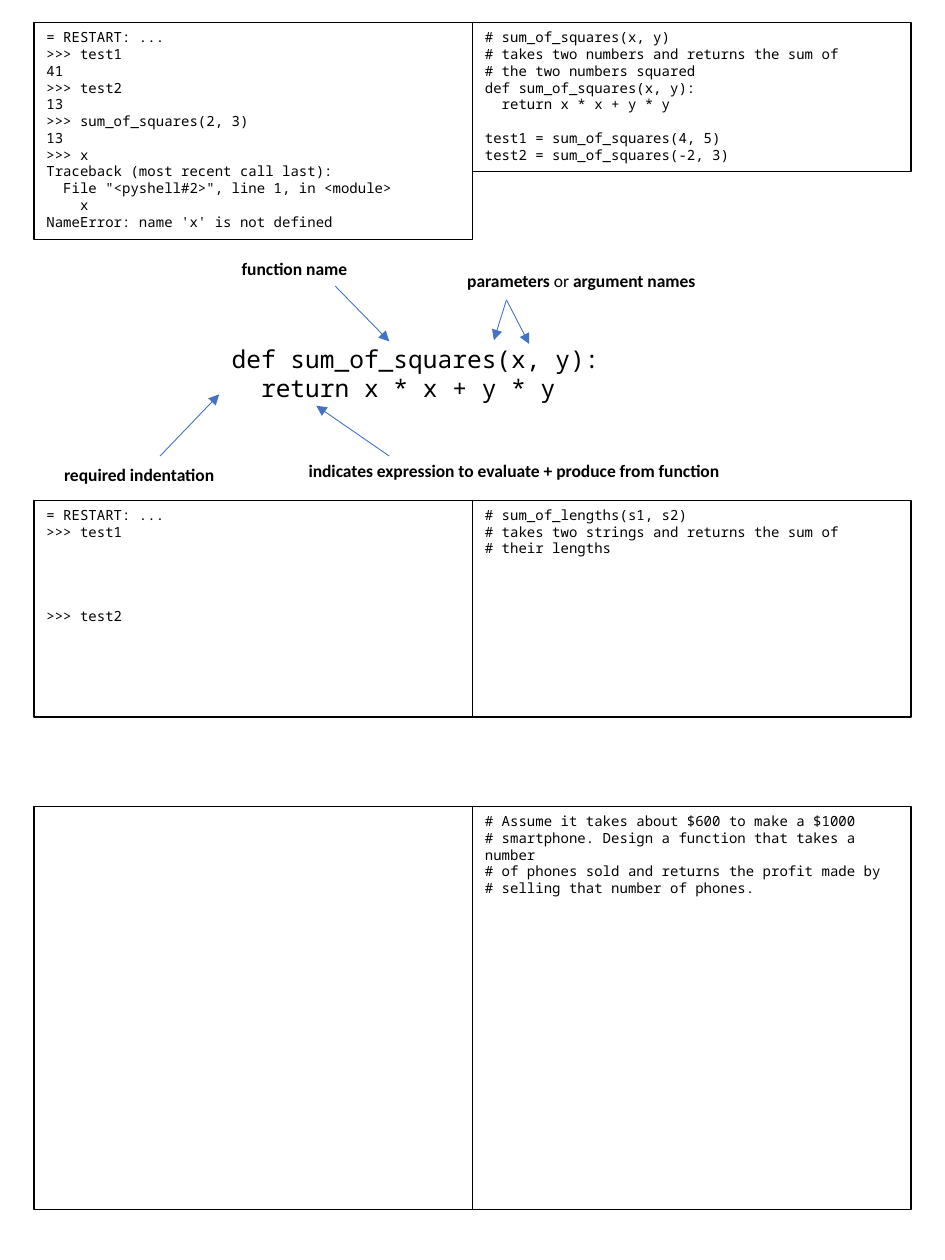
from lxml.etree import SubElement
from pptx import Presentation
from pptx.dml.color import RGBColor
from pptx.enum.shapes import MSO_CONNECTOR, MSO_SHAPE
from pptx.enum.text import MSO_ANCHOR, MSO_AUTO_SIZE, PP_ALIGN
from pptx.oxml.ns import qn
from pptx.util import Inches, Pt

COLORS = {"ink": "000000", "arrow": "4472C4"}
CODE_FONT, LABEL_FONT = "Noto Sans Mono", "Calibri"
CODE_LINE = 9.6
LEFT, MIDDLE, PANEL_WIDTH = 0.27, 3.75, 3.48


class Handout:
    """Draws code panels, labels and arrows in one style on a slide."""

    def __init__(self, slide):
        self.slide = slide

    def color(self, name):
        return RGBColor.from_string(COLORS[name])

    def style_run(self, run, font, size, bold=False):
        run.font.name = font
        run.font.size = Pt(size)
        run.font.bold = bold
        run.font.color.rgb = self.color("ink")

    def fill_code(self, frame, lines, size, gaps):
        frame.word_wrap = True
        frame.vertical_anchor = MSO_ANCHOR.TOP
        frame.text = "\n".join(lines)
        for index, paragraph in enumerate(frame.paragraphs):
            paragraph.alignment = PP_ALIGN.LEFT
            if index in gaps:
                paragraph.space_before = Pt(gaps[index] * CODE_LINE)
            for run in paragraph.runs:
                self.style_run(run, CODE_FONT, size)

    def panel(self, left, top, height, lines=(), gaps={}):
        panel = self.slide.shapes.add_shape(
            MSO_SHAPE.RECTANGLE, Inches(left), Inches(top), Inches(PANEL_WIDTH), Inches(height))
        panel.shadow.inherit = False
        panel.fill.background()
        panel.line.color.rgb = self.color("ink")
        panel.line.width = Pt(0.75)
        self.fill_code(panel.text_frame, lines, 8, gaps)

    def code(self, left, top, width, height, lines):
        box = self.slide.shapes.add_textbox(
            Inches(left), Inches(top), Inches(width), Inches(height))
        self.fill_code(box.text_frame, lines, 14, {})

    def label(self, left, top, width, *parts):
        box = self.slide.shapes.add_textbox(
            Inches(left), Inches(top), Inches(width), Inches(0.27))
        frame = box.text_frame
        frame.word_wrap = False
        frame.auto_size = MSO_AUTO_SIZE.SHAPE_TO_FIT_TEXT
        for index, part in enumerate(parts):
            run = frame.paragraphs[0].add_run()
            run.text = part
            self.style_run(run, LABEL_FONT, 10, bold=index % 2 == 0)

    def arrow(self, start, end):
        arrow = self.slide.shapes.add_connector(
            MSO_CONNECTOR.STRAIGHT, *map(Inches, start + end))
        arrow.line.color.rgb = self.color("arrow")
        arrow.line.width = Pt(0.5)
        SubElement(arrow.line._get_or_add_ln(), qn("a:tailEnd"), type="triangle")
        SubElement(arrow._element.spPr, qn("a:effectLst"))


def main():
    presentation = Presentation()
    presentation.slide_width = Inches(7.5)
    presentation.slide_height = Inches(10)
    handout = Handout(presentation.slides.add_slide(presentation.slide_layouts[6]))
    definition = ["def sum_of_squares(x, y):", "  return x * x + y * y"]

    handout.panel(LEFT, 0.18, 1.72, [
        "= RESTART: ...",
        ">>> test1",
        "41",
        ">>> test2",
        "13",
        ">>> sum_of_squares(2, 3)",
        "13",
        ">>> x",
        "Traceback (most recent call last):",
        '  File "<pyshell#2>", line 1, in <module>',
        "    x",
        "NameError: name 'x' is not defined",
    ])
    handout.panel(MIDDLE, 0.18, 1.18, [
        "# sum_of_squares(x, y)",
        "# takes two numbers and returns the sum of",
        "# the two numbers squared",
        *definition,
        "test1 = sum_of_squares(4, 5)",
        "test2 = sum_of_squares(-2, 3)",
    ], gaps={5: 1})

    handout.code(1.74, 2.68, 3.75, 0.57, definition)
    handout.label(1.82, 2, 1.05, "function name")
    handout.label(3.61, 2.09, 2.04, "parameters ", "or", " argument names")
    handout.label(2.35, 3.6, 3.52, "indicates expression to evaluate + produce from function")
    handout.label(0.41, 3.63, 1.42, "required indentation")
    for start, end in [
        ((2.66, 2.27), (3.09, 2.71)),
        ((4.02, 2.38), (3.92, 2.7)),
        ((4.02, 2.38), (4.2, 2.73)),
        ((3.09, 3.62), (2.51, 3.22)),
        ((1.27, 3.62), (1.74, 3.13)),
    ]:
        handout.arrow(start, end)

    handout.panel(MIDDLE, 3.97, 1.72, [
        "# sum_of_lengths(s1, s2)",
        "# takes two strings and returns the sum of",
        "# their lengths",
    ])
    handout.panel(LEFT, 3.97, 1.72, ["= RESTART: ...", ">>> test1", ">>> test2"], gaps={2: 4})

    handout.panel(MIDDLE, 6.4, 3.2, [
        "# Assume it takes about $600 to make a $1000",
        "# smartphone. Design a function that takes a number",
        "# of phones sold and returns the profit made by",
        "# selling that number of phones.",
    ])
    handout.panel(LEFT, 6.4, 3.2)
    presentation.save("out.pptx")


if __name__ == "__main__":
    main()
